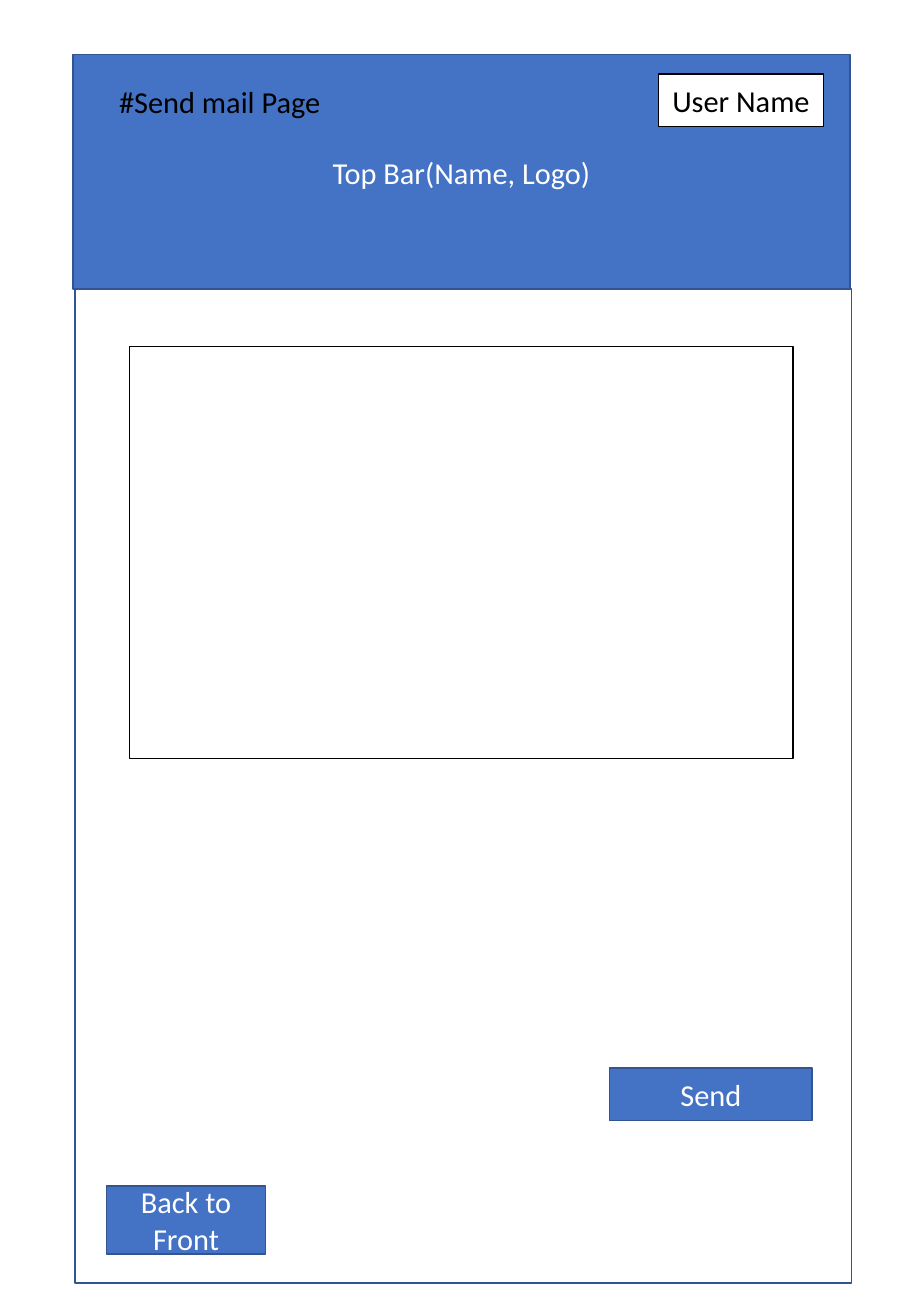
import pptx
import pptx.util
import pptx.dml.color
import pptx.enum.shapes
import pptx.enum.text
from dataclasses import dataclass

Pt = pptx.util.Pt
RGB = pptx.dml.color.RGBColor.from_string


@dataclass(frozen=True)
class Theme:
    blue: str = "4472C4"
    outline: str = "325491"
    black: str = "000000"
    white: str = "FFFFFF"
    font: str = "Calibri"
    text_size: float = 18
    line: float = 1
    thin_line: float = 0.75


THEME = Theme()


def write_text(shape, text, color, alignment):
    shape.text_frame.text = text
    paragraph = shape.text_frame.paragraphs[0]
    paragraph.alignment = alignment
    font = paragraph.runs[0].font
    font.name, font.size = THEME.font, Pt(THEME.text_size)
    font.color.rgb = RGB(color)


def add_box(shapes, box, text="", fill=None, line=THEME.outline,
            color=THEME.white, width=THEME.line):
    """Draw an outlined rectangle with optional fill and centred text."""
    shape = shapes.add_shape(pptx.enum.shapes.MSO_SHAPE.RECTANGLE, *map(Pt, box))
    shape.shadow.inherit = False
    if fill:
        shape.fill.solid()
        shape.fill.fore_color.rgb = RGB(fill)
    else:
        shape.fill.background()
    shape.line.color.rgb = RGB(line)
    shape.line.width = Pt(width)
    if text:
        shape.text_frame.vertical_anchor = pptx.enum.text.MSO_ANCHOR.MIDDLE
        write_text(shape, text, color, pptx.enum.text.PP_ALIGN.CENTER)
    return shape


def add_page_frame(slide, bar, body):
    # Top bar and page body form one group
    group = slide.shapes.add_group_shape()
    add_box(group.shapes, bar, "Top Bar(Name, Logo)", fill=THEME.blue)
    add_box(group.shapes, body)


def add_header(slide, box):
    left, top, width, height = box
    # Page title, brought in front of the top bar
    title = slide.shapes.title
    title.left, title.top = Pt(left + 20.2), Pt(top + 13)
    title.width, title.height = Pt(135.4), Pt(29)
    write_text(title, "#Send mail Page", THEME.black,
               pptx.enum.text.PP_ALIGN.LEFT)
    title.text_frame.word_wrap = False
    title.text_frame.auto_size = pptx.enum.text.MSO_AUTO_SIZE.SHAPE_TO_FIT_TEXT
    title.text_frame.vertical_anchor = pptx.enum.text.MSO_ANCHOR.TOP
    slide.shapes._spTree.append(title._element)
    # User badge
    add_box(slide.shapes, (left + width - 113.7, top + 11.5, 97.9, 31),
            "User Name", fill=THEME.white, line=THEME.black, color=THEME.black)


def add_mail_form(slide, box):
    left, top, width, height = box
    right, bottom = left + width, top + height
    # Navigation and send buttons
    add_box(slide.shapes, (left + 18.5, bottom - 57.7, 94.3, 40.3),
            "Back to Front", fill=THEME.blue)
    add_box(slide.shapes, (right - 143.4, bottom - 127.5, 120.2, 31),
            "Send", fill=THEME.blue)
    # Message field
    add_box(slide.shapes, (left + 32.4, top + 33.8, 393.1, 244.1),
            line=THEME.black, width=THEME.thin_line)


def main():
    presentation = pptx.Presentation()
    presentation.slide_width, presentation.slide_height = Pt(540), Pt(779.76)
    slide = presentation.slides.add_slide(presentation.slide_layouts[5])
    bar = (43.2, 32.4, 460.8, 139)
    body = (44.6, 171.4, 460.1, 589)
    add_page_frame(slide, bar, body)
    add_header(slide, bar)
    add_mail_form(slide, body)
    presentation.save("out.pptx")


if __name__ == "__main__":
    main()
